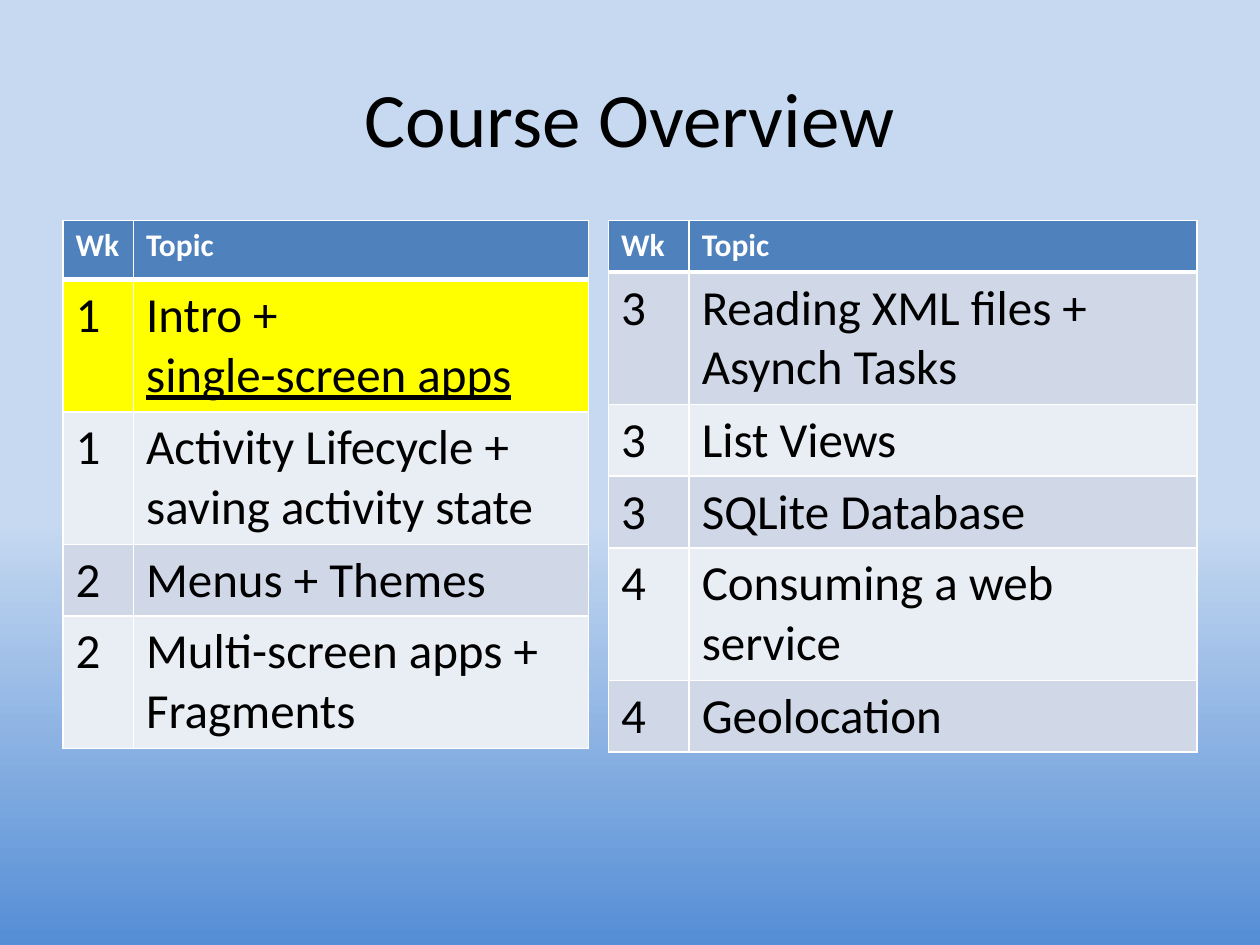
from lxml.etree import SubElement
from pptx import Presentation
from pptx.dml.color import RGBColor
from pptx.enum.text import MSO_ANCHOR, PP_ALIGN
from pptx.oxml.ns import qn
from pptx.util import Inches, Pt

FONT = "Calibri"
BLACK = RGBColor(0x00, 0x00, 0x00)
WHITE = RGBColor(0xFF, 0xFF, 0xFF)
SKY = RGBColor(0xC6, 0xD9, 0xF1)
DEEP_SKY = RGBColor(0x55, 0x8E, 0xD5)
HEADER_BLUE = RGBColor(0x4F, 0x81, 0xBD)
BAND_DARK = RGBColor(0xD0, 0xD8, 0xE8)
BAND_LIGHT = RGBColor(0xE9, 0xED, 0xF4)
HIGHLIGHT = RGBColor(0xFF, 0xFF, 0x00)

ONE_LINE, TWO_LINES = 0.57, 1.05
TABLE_TOP = 1.75

# Each row: week, paragraphs of the topic, row height
FIRST_HALF = [
    ("1", ["Intro +", "single-screen apps"], TWO_LINES),
    ("1", ["Activity Lifecycle + saving activity state"], TWO_LINES),
    ("2", ["Menus + Themes"], ONE_LINE),
    ("2", ["Multi-screen apps +", "Fragments"], TWO_LINES),
]
SECOND_HALF = [
    ("3", ["Reading XML files + Asynch Tasks"], TWO_LINES),
    ("3", ["List Views"], ONE_LINE),
    ("3", ["SQLite Database"], ONE_LINE),
    ("4", ["Consuming a web service"], TWO_LINES),
    ("4", ["Geolocation"], ONE_LINE),
]


def paint_background(slide):
    fill = slide.background.fill
    fill.gradient()
    fill.gradient_angle = 270
    for stop, position, color in zip(fill.gradient_stops, (0.55, 1), (SKY, DEEP_SKY)):
        stop.position = position
        stop.color.rgb = color


def add_run(paragraph, text, size, color, bold=False):
    run = paragraph.add_run()
    run.text = text
    run.font.name = FONT
    run.font.size = Pt(size)
    run.font.bold = bold
    run.font.color.rgb = color
    return run


def add_title(slide, text):
    box = slide.shapes.add_textbox(Inches(0.5), Inches(0.3), Inches(9), Inches(1.25))
    frame = box.text_frame
    frame.word_wrap = True
    frame.vertical_anchor = MSO_ANCHOR.MIDDLE
    paragraph = frame.paragraphs[0]
    paragraph.alignment = PP_ALIGN.CENTER
    add_run(paragraph, text, 44, BLACK)


def set_borders(cell, top, bottom):
    """Draw white borders; top and bottom are widths in points."""
    properties = cell._tc.get_or_add_tcPr()
    for side, width in (("L", 1), ("R", 1), ("T", top), ("B", bottom)):
        line = SubElement(properties, qn(f"a:ln{side}"), w=str(Pt(width)))
        solid = SubElement(line, qn("a:solidFill"))
        SubElement(solid, qn("a:srgbClr"), val=str(WHITE))


def fill_cell(cell, lines, fill, size=28, color=BLACK, bold=False, top=1, bottom=1):
    set_borders(cell, top, bottom)
    cell.fill.solid()
    cell.fill.fore_color.rgb = fill
    frame = cell.text_frame
    for index, line in enumerate(lines):
        paragraph = frame.add_paragraph() if index else frame.paragraphs[0]
        add_run(paragraph, line, size, color, bold)


def add_schedule(slide, left, column_widths, header_height, topics):
    heights = [header_height] + [height for _, _, height in topics]
    table = slide.shapes.add_table(
        len(heights), 2, Inches(left), Inches(TABLE_TOP),
        Inches(sum(column_widths)), Inches(sum(heights))).table
    for column, width in zip(table.columns, column_widths):
        column.width = Inches(width)
    for row, height in zip(table.rows, heights):
        row.height = Inches(height)
    for column, heading in enumerate(("Wk", "Topic")):
        fill_cell(table.cell(0, column), [heading], HEADER_BLUE,
                  size=18, color=WHITE, bold=True, bottom=3)
    for row, (week, lines, _) in enumerate(topics, start=1):
        band = BAND_DARK if row % 2 else BAND_LIGHT
        top = 3 if row == 1 else 1
        fill_cell(table.cell(row, 0), [week], band, top=top)
        fill_cell(table.cell(row, 1), lines, band, top=top)
    return table


def highlight_current_topic(table, row):
    for cell in table.rows[row].cells:
        cell.fill.fore_color.rgb = HIGHLIGHT
    table.cell(row, 1).text_frame.paragraphs[-1].runs[0].font.underline = True


def main():
    presentation = Presentation()
    presentation.slide_width = Inches(10)
    presentation.slide_height = Inches(7.5)
    slide = presentation.slides.add_slide(presentation.slide_layouts[6])
    paint_background(slide)
    add_title(slide, "Course Overview")
    first_table = add_schedule(slide, 0.5, (0.56, 3.61), 0.47, FIRST_HALF)
    highlight_current_topic(first_table, 1)
    add_schedule(slide, 4.83, (0.64, 4.03), 0.41, SECOND_HALF)
    presentation.save("out.pptx")


if __name__ == "__main__":
    main()
